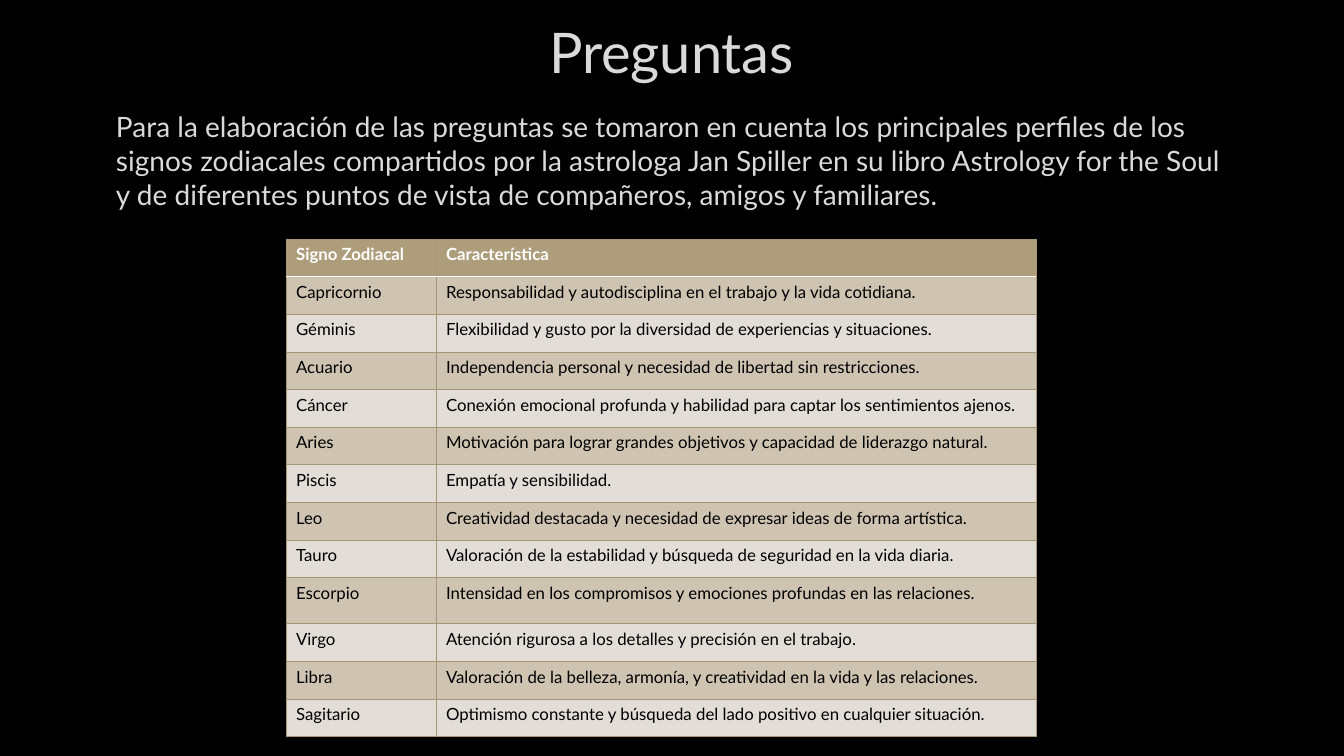
from dataclasses import dataclass

from lxml import etree
from pptx import Presentation
from pptx.dml.color import RGBColor
from pptx.enum.text import MSO_ANCHOR, PP_ALIGN
from pptx.oxml.ns import qn
from pptx.util import Emu, Pt

CENTER, LEFT = PP_ALIGN.CENTER, PP_ALIGN.LEFT
MIDDLE, TOP = MSO_ANCHOR.MIDDLE, MSO_ANCHOR.TOP


@dataclass(frozen=True)
class Theme:
    font: str = "Lato"
    background: str = "000000"
    light_text: str = "DADADA"
    header_text: str = "FFFFFF"
    cell_text: str = "000000"
    header_fill: str = "AD9D7B"
    dark_band: str = "CEC4B1"
    light_band: str = "E2DDD6"
    grid: str = "A59675"
    header_rule: str = "FFFFFF"
    title_size: int = 40
    body_size: int = 20
    cell_size: int = 12
    grid_width: float = 0.75
    rule_width: float = 1.25


theme = Theme()


def px(length):
    return Emu(round(length * 914400 / 100.8))


def style(para, size, color, bold=False):
    font = para.font
    font.name, font.size, font.bold = theme.font, Pt(size), bold
    font.color.rgb = RGBColor.from_string(color)


INTRO = (
    "Para la elaboración de las preguntas se tomaron en cuenta los principales "
    "perfiles de los signos zodiacales compartidos por la astrologa Jan Spiller "
    "en su libro Astrology for the Soul y de diferentes puntos de vista de "
    "compañeros, amigos y familiares."
)
ROWS = [
    ("Signo Zodiacal", "Característica"),
    ("Capricornio", "Responsabilidad y autodisciplina en el trabajo y la vida cotidiana."),
    ("Géminis", "Flexibilidad y gusto por la diversidad de experiencias y situaciones."),
    ("Acuario", "Independencia personal y necesidad de libertad sin restricciones."),
    ("Cáncer", "Conexión emocional profunda y habilidad para captar los sentimientos ajenos."),
    ("Aries", "Motivación para lograr grandes objetivos y capacidad de liderazgo natural."),
    ("Piscis", "Empatía y sensibilidad."),
    ("Leo", "Creatividad destacada y necesidad de expresar ideas de forma artística."),
    ("Tauro", "Valoración de la estabilidad y búsqueda de seguridad en la vida diaria."),
    ("Escorpio", "Intensidad en los compromisos y emociones profundas en las relaciones."),
    ("Virgo", "Atención rigurosa a los detalles y precisión en el trabajo."),
    ("Libra", "Valoración de la belleza, armonía, y creatividad en la vida y las relaciones."),
    ("Sagitario", "Optimismo constante y búsqueda del lado positivo en cualquier situación."),
]
COLUMN_WIDTHS = (150, 600)
TABLE_HEIGHT = 498
TALL_ROW, TALL_HEIGHT = 9, 46
ROW_HEIGHT = (TABLE_HEIGHT - TALL_HEIGHT) / (len(ROWS) - 1)

deck = Presentation()
deck.slide_width, deck.slide_height = px(1344), px(756)
page = deck.slides.add_slide(deck.slide_layouts[6])
page.background.fill.solid()
page.background.fill.fore_color.rgb = RGBColor.from_string(theme.background)

# Title and introduction
for text, left, top, height, size, align, anchor, indent in (
    ("Preguntas", 101, -2, 107, theme.title_size, CENTER, MIDDLE, 0),
    (INTRO, 102, 105, 448, theme.body_size, LEFT, TOP, 4),
):
    box = page.shapes.add_textbox(px(left), px(top), px(1141), px(height))
    frame = box.text_frame
    frame.word_wrap = True
    frame.vertical_anchor = anchor
    frame.margin_left = px(10 + indent)
    para = frame.paragraphs[0]
    para.text = text
    para.alignment = align
    style(para, size, theme.light_text)

# Table of signs
table = page.shapes.add_table(
    len(ROWS), len(COLUMN_WIDTHS), px(286), px(239), px(sum(COLUMN_WIDTHS)), px(TABLE_HEIGHT)
).table
for column, width in zip(table.columns, COLUMN_WIDTHS):
    column.width = px(width)

for r, texts in enumerate(ROWS):
    table.rows[r].height = px(TALL_HEIGHT if r == TALL_ROW else ROW_HEIGHT)
    header = r == 0
    band = theme.dark_band if r % 2 else theme.light_band
    for c, text in enumerate(texts):
        cell = table.cell(r, c)
        para = cell.text_frame.paragraphs[0]
        para.text = text
        style(para, theme.cell_size, theme.header_text if header else theme.cell_text, header)

        properties = cell._tc.get_or_add_tcPr()
        for side in ("lnL", "lnR", "lnT", "lnB"):
            is_rule = (r, side) in ((0, "lnB"), (1, "lnT"))
            width = theme.rule_width if is_rule else theme.grid_width
            line = etree.SubElement(properties, qn(f"a:{side}"), w=str(Pt(width)))
            fill = etree.SubElement(line, qn("a:solidFill"))
            etree.SubElement(
                fill, qn("a:srgbClr"), val=theme.header_rule if is_rule else theme.grid
            )
        cell.fill.solid()
        cell.fill.fore_color.rgb = RGBColor.from_string(theme.header_fill if header else band)

deck.save("out.pptx")
